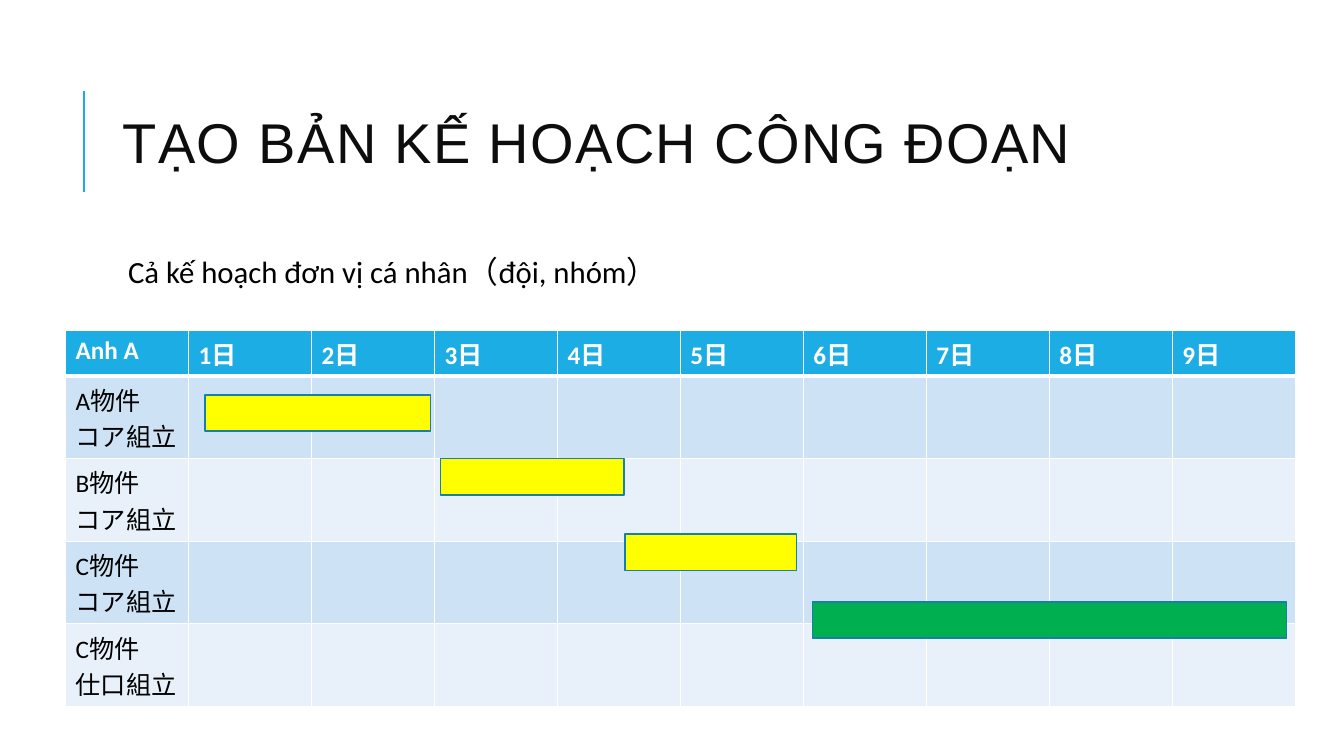
from dataclasses import dataclass

import pptx
import pptx.dml.color
import pptx.enum.shapes
import pptx.enum.text
import pptx.oxml
import pptx.oxml.ns
import pptx.slide
import pptx.table
import pptx.text.text
import pptx.util
from lxml import etree

Inches = pptx.util.Inches
Pt = pptx.util.Pt
RGBColor = pptx.dml.color.RGBColor
qn = pptx.oxml.ns.qn
Anchor = pptx.enum.text.MSO_ANCHOR

WHITE = RGBColor(0xFF, 0xFF, 0xFF)
BLACK = RGBColor(0x00, 0x00, 0x00)
TITLE_INK = RGBColor(0x0D, 0x0D, 0x0D)
ACCENT = RGBColor(0x1C, 0xAD, 0xE4)
BAR_EDGE = RGBColor(0x15, 0x80, 0xA9)
BAND_DARK = RGBColor(0xCD, 0xE3, 0xF5)
BAND_LIGHT = RGBColor(0xE8, 0xF1, 0xFA)
YELLOW = RGBColor(0xFF, 0xFF, 0x00)
GREEN = RGBColor(0x00, 0xB0, 0x50)

COLUMN_WIDTH = 1.22
HEADER_HEIGHT = 0.45
TASK_HEIGHT = 0.82
BAR_HEIGHT = 0.36


@dataclass
class Bar:
    left: float
    top: float
    width: float
    color: RGBColor


HEADER = ["Anh A"] + [f"{day}日" for day in range(1, 10)]
TASKS = ["A物件\nコア組立", "B物件\nコア組立", "C物件\nコア組立", "C物件\n仕口組立"]
BARS = [
    Bar(2.03, 3.92, 2.24, YELLOW),
    Bar(4.37, 4.55, 1.82, YELLOW),
    Bar(6.2, 5.3, 1.7, YELLOW),
    Bar(8.06, 5.97, 4.7, GREEN),
]


def write_text(frame: pptx.text.text.TextFrame, text: str, *, size: float,
               color: RGBColor, font: str = "Calibri", bold: bool = False,
               line_spacing: float = 1.0, tracking: float = 0) -> None:
    """Fill the frame, one paragraph per line of text; tracking is in points."""
    frame.text = text
    for paragraph in frame.paragraphs:
        paragraph.line_spacing = line_spacing
        for run in paragraph.runs:
            run.font.name = font
            run.font.size = Pt(size)
            run.font.bold = bold
            run.font.color.rgb = color
            if tracking:
                run.font._element.set("spc", str(round(tracking * 100)))


def add_text_box(slide: pptx.slide.Slide, left: float, top: float, width: float,
                 height: float, anchor: Anchor) -> pptx.text.text.TextFrame:
    box = slide.shapes.add_textbox(Inches(left), Inches(top), Inches(width), Inches(height))
    box.text_frame.word_wrap = True
    box.text_frame.vertical_anchor = anchor
    return box.text_frame


def set_borders(cell: pptx.table._Cell, bottom: float) -> None:
    """Draw white borders, 1 pt on all sides but the bottom."""
    properties = cell._tc.get_or_add_tcPr()
    widths = {"a:lnL": 1, "a:lnR": 1, "a:lnT": 1, "a:lnB": bottom}
    for position, (side, width) in enumerate(widths.items()):
        border = etree.Element(qn(side), w=str(Pt(width)))
        fill = etree.SubElement(border, qn("a:solidFill"))
        etree.SubElement(fill, qn("a:srgbClr"), val=str(WHITE))
        properties.insert(position, border)


def add_schedule(slide: pptx.slide.Slide) -> None:
    rows = [HEADER] + [[task] + [""] * (len(HEADER) - 1) for task in TASKS]
    schedule = slide.shapes.add_table(
        len(rows), len(HEADER), Inches(0.65), Inches(3.28),
        Inches(COLUMN_WIDTH * len(HEADER)),
        Inches(HEADER_HEIGHT + TASK_HEIGHT * len(TASKS))).table
    for column in schedule.columns:
        column.width = Inches(COLUMN_WIDTH)
    for row_index, labels in enumerate(rows):
        is_header = row_index == 0
        schedule.rows[row_index].height = Inches(HEADER_HEIGHT if is_header else TASK_HEIGHT)
        band = ACCENT if is_header else BAND_DARK if row_index % 2 else BAND_LIGHT
        for column_index, label in enumerate(labels):
            cell = schedule.cell(row_index, column_index)
            cell.fill.solid()
            cell.fill.fore_color.rgb = band
            set_borders(cell, bottom=3 if is_header else 1)
            write_text(cell.text_frame, label, size=18, bold=is_header,
                       color=WHITE if is_header else BLACK)


def add_bar(slide: pptx.slide.Slide, bar: Bar) -> None:
    rectangle = slide.shapes.add_shape(
        pptx.enum.shapes.MSO_SHAPE.RECTANGLE, Inches(bar.left), Inches(bar.top),
        Inches(bar.width), Inches(BAR_HEIGHT))
    rectangle.shadow.inherit = False
    rectangle.fill.solid()
    rectangle.fill.fore_color.rgb = bar.color
    rectangle.line.color.rgb = BAR_EDGE
    rectangle.line.width = Pt(1.25)


def add_title_rule(slide: pptx.slide.Slide) -> None:
    rule = slide.shapes.add_connector(
        pptx.enum.shapes.MSO_CONNECTOR.STRAIGHT,
        Inches(0.83), Inches(1.9), Inches(0.83), Inches(0.9))
    rule.line.color.rgb = ACCENT
    rule.line.width = Pt(1.5)
    etree.SubElement(rule._element.spPr, qn("a:effectLst"))


def main() -> None:
    presentation = pptx.Presentation()
    presentation.slide_width = Inches(13.33)
    presentation.slide_height = Inches(7.5)
    slide = presentation.slides.add_slide(presentation.slide_layouts[6])

    add_title_rule(slide)
    title = add_text_box(slide, 1.12, 0.64, 10.63, 1.64, Anchor.MIDDLE)
    write_text(title, "TẠO BẢN KẾ HOẠCH CÔNG ĐOẠN", size=40, color=TITLE_INK,
               font="Arial", line_spacing=0.8, tracking=1)
    subtitle = add_text_box(slide, 1.12, 2.5, 10.63, 0.6, Anchor.TOP)
    subtitle.margin_left = Inches(0.15)
    subtitle.margin_top = Inches(0.05)
    write_text(subtitle, "Cả kế hoạch đơn vị cá nhân（đội, nhóm）", size=22,
               color=BLACK, line_spacing=0.9)

    add_schedule(slide)
    for bar in BARS:
        add_bar(slide, bar)
    presentation.save("out.pptx")


if __name__ == "__main__":
    main()
